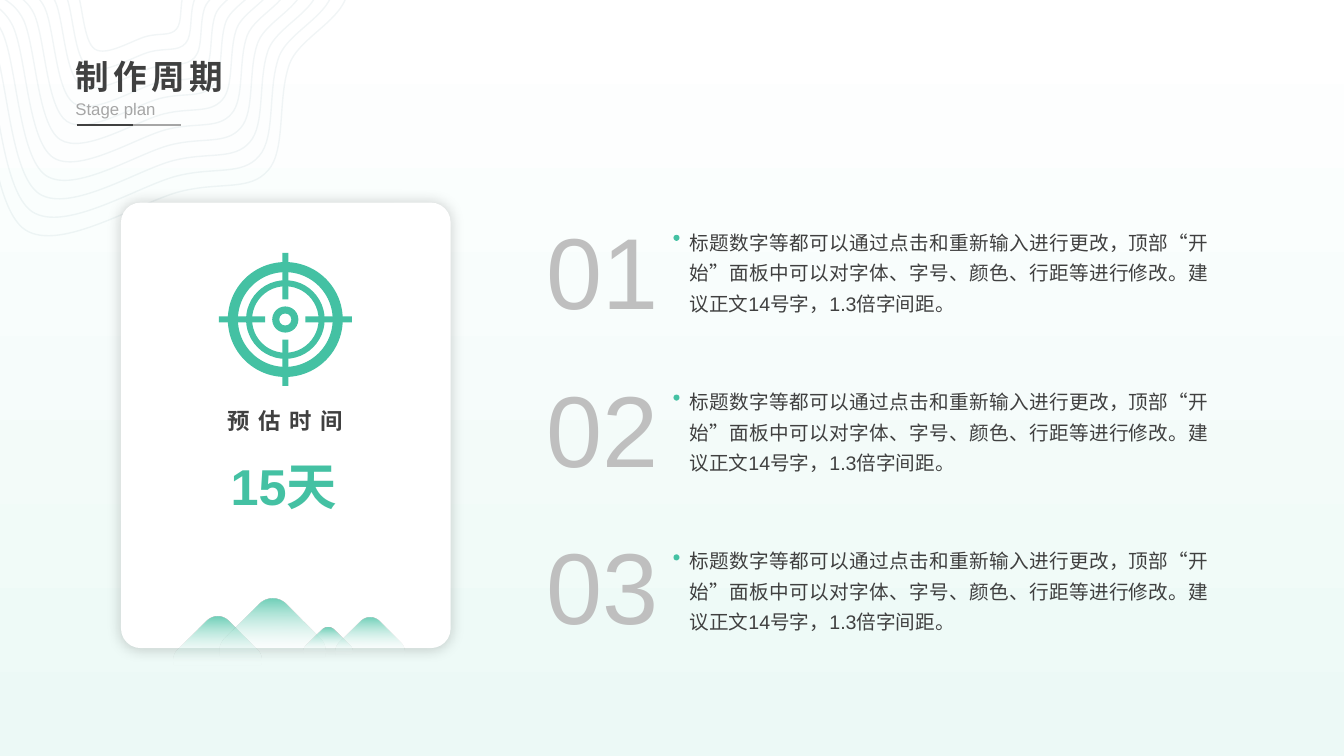
from lxml import etree
from pptx import Presentation
from pptx.dml.color import RGBColor
from pptx.enum.lang import MSO_LANGUAGE_ID as LANG
from pptx.enum.shapes import MSO_CONNECTOR, MSO_SHAPE
from pptx.enum.text import MSO_ANCHOR, MSO_AUTO_SIZE, PP_ALIGN
from pptx.oxml.ns import qn
from pptx.util import Inches, Pt

COLORS = {"white": "FFFFFF", "mint": "ECF9F6", "green": "44C1A3", "text": "404040",
          "muted": "A6A6A6", "number": "BFBFBF", "contour": "1E5E70", "black": "000000"}
CJK = "Noto Sans CJK SC"
BODY = ("标题数字等都可以通过点击和重新输入进行更改，顶部“开始”面板中可以对字体、字号、"
        "颜色、行距等进行修改。建议正文14号字，1.3倍字间距。")
# Outermost contour: a start point, then Bézier triples
CONTOUR = [(1.79, 1.9), (1.39, 2), (0.6, 2.51), (0.25, 2.28), (-0.09, 2.05),
           (-0.11, 0.91), (-0.29, 0.51), (-0.48, 0.11), (-0.82, 0.2), (-0.85, -0.14),
           (-0.89, -0.48), (-0.84, -1.2), (-0.5, -1.53), (-0.17, -1.87), (0.51, -2.36),
           (1.15, -2.16), (1.8, -1.96), (3.1, -0.82), (3.38, -0.35), (3.67, 0.12),
           (2.99, 0.3), (2.87, 0.64), (2.75, 0.98), (2.84, 1.49), (2.66, 1.69),
           (2.48, 1.9), (2.19, 1.8), (1.79, 1.9)]
CONTOUR_FOCUS = (1.29, -0.42)
RINGS, INNER_SCALE = 11, 0.336
HILLS = [(1.8, 6.2, 0.71, 0.221), (2.28, 6.04, 0.85, 0.221),
         (3.06, 6.27, 0.39, 0.221), (3.39, 6.19, 0.56, 0.238)]


def rgb(name):
    return RGBColor.from_string(COLORS[name])


def add_alpha(fill_element, percent):
    color = next(fill_element.iter(qn("a:srgbClr")))
    etree.SubElement(color, qn("a:alpha"), val=str(percent * 1000))


def set_gradient(fill, angle, *stops):
    fill.gradient()
    fill.gradient_angle = angle
    for stop, (position, color) in zip(fill.gradient_stops, stops):
        stop.position = position
        stop.color.rgb = rgb(color)


def add_plain(s, kind, box, fill="green", adj=None):
    """Add a preset shape without line or shadow."""
    sp = s.shapes.add_shape(kind, *map(Inches, box))
    sp.shadow.inherit = False
    sp.line.fill.background()
    sp.fill.solid()
    sp.fill.fore_color.rgb = rgb(fill)
    if adj is not None:
        sp.adjustments[0] = adj
    return sp


def write(tf, text, size, color, font="Arial", bold=False, spacing=0, wrap=False, **para):
    tf.word_wrap = wrap
    tf.auto_size = MSO_AUTO_SIZE.SHAPE_TO_FIT_TEXT
    tf.vertical_anchor = MSO_ANCHOR.TOP
    p = tf.paragraphs[0]
    for name, value in para.items():
        setattr(p, name, value)
    r = p.add_run()
    r.text = text
    look = {"size": Pt(size), "name": font, "bold": bold, "language_id": LANG.SIMPLIFIED_CHINESE}
    for name, value in look.items():
        setattr(r.font, name, value)
    r.font.color.rgb = rgb(color)
    rpr = r.font._element
    if spacing:
        rpr.set("spc", str(spacing * 100))
    etree.SubElement(rpr, qn("a:ea"), typeface=CJK)


def add_text(s, box, text, size, color, **kw):
    write(s.shapes.add_textbox(*map(Inches, box)).text_frame, text, size, color, **kw)


def add_rule(s, x1, x2, y, color):
    line = s.shapes.add_connector(MSO_CONNECTOR.STRAIGHT, *map(Inches, (x1, y, x2, y)))
    line.line.width = Pt(1)
    line.line.color.rgb = rgb(color)
    etree.SubElement(line._element.spPr, qn("a:effectLst"))


def add_curve(s, nodes):
    """Add a closed outline whose nodes after the first are Bézier triples."""
    points = [tuple(map(Inches, node)) for node in nodes]
    builder = s.shapes.build_freeform(*points[0])
    builder.add_line_segments(points[1:], close=True)
    sp = builder.convert_to_shape()
    segments = list(sp._element.iter(qn("a:lnTo")))
    for i in range(0, len(segments), 3):
        curve = etree.Element(qn("a:cubicBezTo"))
        segments[i].addprevious(curve)
        for segment in segments[i:i + 3]:
            curve.append(segment[0])
            segment.getparent().remove(segment)
    return sp


def add_contours(s):
    for ring in range(RINGS):
        scale = 1 - (1 - INNER_SCALE) * ring / (RINGS - 1)
        sp = add_curve(s, [[f + scale * (v - f) for v, f in zip(node, CONTOUR_FOCUS)]
                           for node in CONTOUR])
        sp.shadow.inherit = False
        sp.fill.background()
        sp.line.width = Pt(1)
        sp.line.color.rgb = rgb("contour")
        add_alpha(sp._element.spPr.find(qn("a:ln")), 5)


def add_card(s):
    card = add_plain(s, MSO_SHAPE.ROUNDED_RECTANGLE, (1.2, 2.01, 3.27, 4.42), "white", 0.06)
    effects = card._element.spPr.find(qn("a:effectLst"))
    shadow = etree.SubElement(effects, qn("a:outerShdw"), blurRad=str(Pt(10)), dist="0",
                              algn="ctr", rotWithShape="0")
    etree.SubElement(shadow, qn("a:srgbClr"), val=COLORS["black"])
    add_alpha(shadow, 20)


def add_target(s, cx, cy):
    for outer, inner in ((0.57, 0.47), (0.39, 0.33), (0.13, 0.06)):
        add_plain(s, MSO_SHAPE.DONUT, (cx - outer, cy - outer, 2 * outer, 2 * outer),
                  adj=(outer - inner) / (2 * outer))
    near, far, half = 0.2, 0.66, 0.03
    for start in (-far, near):
        add_plain(s, MSO_SHAPE.RECTANGLE, (cx + start, cy - half, far - near, 2 * half))
        add_plain(s, MSO_SHAPE.RECTANGLE, (cx - half, cy + start, 2 * half, far - near))


def add_hill(s, x, y, size, adj):
    sp = add_plain(s, MSO_SHAPE.ROUNDED_RECTANGLE, (x, y, size, size), adj=adj)
    sp.rotation = 45.2
    set_gradient(sp.fill, 135, (0.45, "white"), (1, "green"))
    add_alpha(sp._element.spPr.find(qn("a:gradFill")), 0)


def add_item(s, i):
    add_text(s, (5.32, 2.02 + 1.565 * i, 1.32, 1.31), f"{i + 1:02}", 72, "number")
    add_plain(s, MSO_SHAPE.OVAL, (6.68, 2.33 + 1.585 * i, 0.06, 0.06))
    add_text(s, (6.74, 2.17 + 1.58 * i, 5.35, 0.99), BODY, 14, "text", wrap=True,
             alignment=PP_ALIGN.JUSTIFY, line_spacing=1.3)


def add_heading(s):
    title = s.shapes.title
    box = {"left": 0.65, "top": 0.55, "width": 1.72, "height": 0.46}
    for name, value in box.items():
        setattr(title, name, Inches(value))
    write(title.text_frame, "制作周期", 24, "text", font=CJK, bold=True, spacing=3,
          alignment=PP_ALIGN.LEFT, line_spacing=0.9, space_before=Pt(10))
    add_text(s, (0.65, 0.93, 1, 0.3), "Stage plan", 12, "muted", space_before=Pt(10))
    add_rule(s, 0.76, 1.8, 1.24, "muted")
    add_rule(s, 0.76, 1.32, 1.24, "text")


def main():
    prs = Presentation()
    prs.slide_width, prs.slide_height = Inches(13.33), Inches(7.5)
    s = prs.slides.add_slide(prs.slide_layouts[5])
    set_gradient(s.background.fill, 270, (0, "white"), (1, "mint"))
    add_contours(s)
    add_heading(s)
    add_card(s)
    add_target(s, 2.83, 3.17)
    add_text(s, (2.18, 4.47, 1.27, 0.71), "15天", 36, "green", bold=True,
             alignment=PP_ALIGN.CENTER)
    add_text(s, (2.11, 3.99, 1.44, 0.37), "预估时间", 16, "text", bold=True, spacing=6,
             alignment=PP_ALIGN.CENTER)
    for hill in HILLS:
        add_hill(s, *hill)
    for i in range(3):
        add_item(s, i)
    prs.save("out.pptx")


if __name__ == "__main__":
    main()
